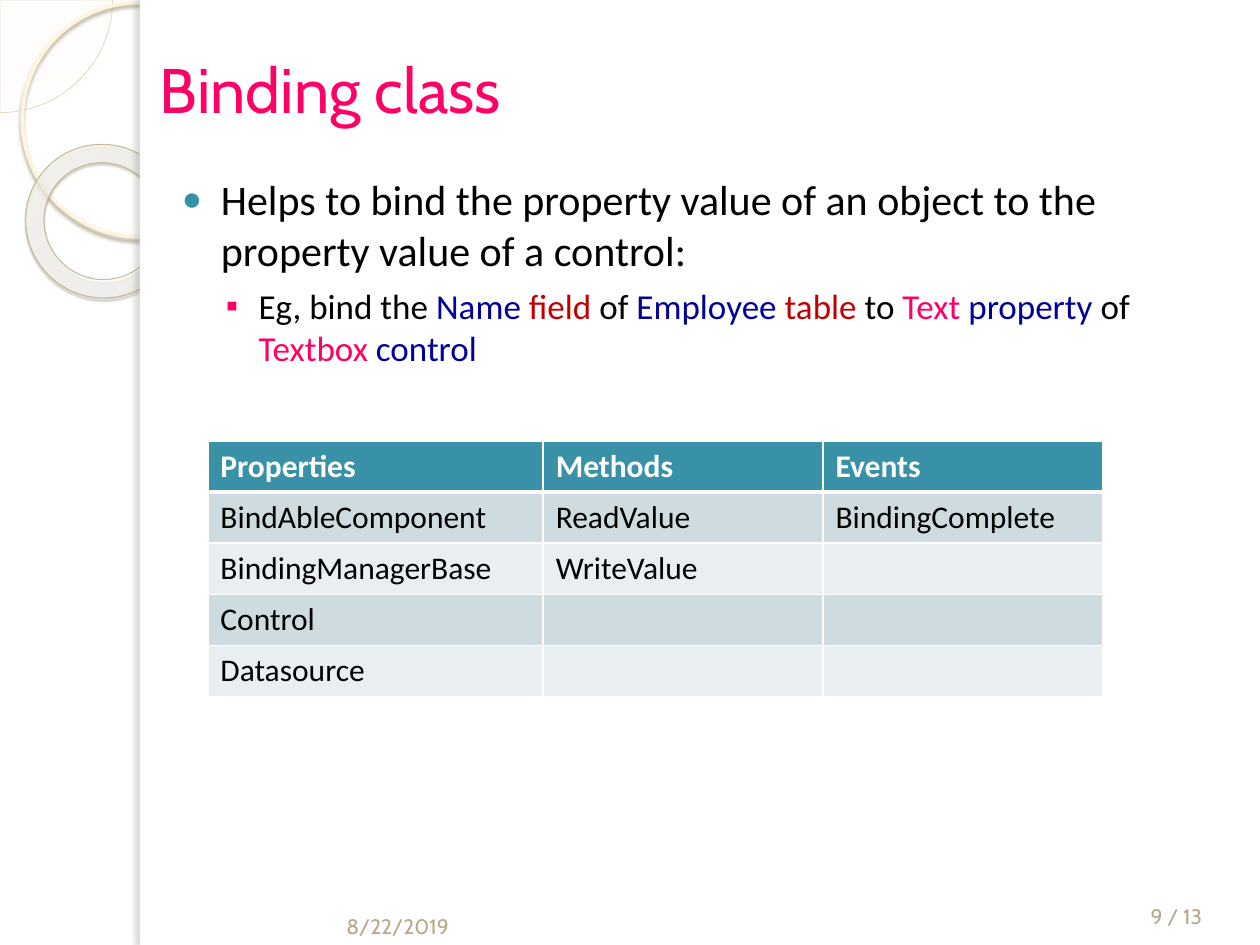
from lxml.etree import SubElement
from pptx import Presentation
from pptx.dml.color import RGBColor
from pptx.enum.shapes import MSO_SHAPE
from pptx.enum.text import MSO_ANCHOR, MSO_AUTO_SIZE, PP_ALIGN
from pptx.oxml import parse_xml
from pptx.oxml.ns import nsdecls, qn
from pptx.util import Cm, Pt

COLORS = {
    "white": "FFFFFF", "black": "000000", "pink": "FF0066", "navy": "000099",
    "red": "C00000", "teal": "3891A7", "footer": "B6A98A",
    "band": "CEDCE1", "pale": "E8EEF1",
    "pie": "FEFAF4", "pie_line": "D3C39F",
    "ring": "FFF5DE", "ring_shadow": "B0A68F",
    "donut_line": "C7B893", "donut_shadow": "5A5444", "strip_shadow": "736F63",
    "donut_inner": "FFFCF6", "donut_mid": "FFFEFB", "donut_outer": "F0D28E",
}

# Content
TITLE = "Binding class"
BULLETS = [
    {"runs": [("Helps to bind the property value of an object to the "
               "property value of a control:", "black")],
     "level": 0, "size": 24, "before": 6, "margin": 1.02, "hang": 0.79,
     "bullet": "●", "bullet_color": "teal", "bullet_size": 80},
    {"runs": [("Eg, bind the ", "black"), ("Name ", "navy"), ("field", "red"),
              (" of ", "black"), ("Employee ", "navy"), ("table ", "red"),
              ("to ", "black"), ("Text ", "pink"), ("property ", "navy"),
              ("of ", "black"), ("Textbox ", "pink"), ("control", "navy")],
     "level": 1, "size": 20, "before": 5.5, "margin": 1.78, "hang": 0.66,
     "bullet": "▪", "bullet_color": "pink", "bullet_size": 100},
]
MEMBERS = [
    ("Properties", "Methods", "Events"),
    ("BindAbleComponent", "ReadValue", "BindingComplete"),
    ("BindingManagerBase", "WriteValue", ""),
    ("Control", "", ""),
    ("Datasource", "", ""),
]
COLUMN_WIDTHS = (6.76, 5.64, 5.64)
ROW_HEIGHT = 1.03
FOOTERS = [
    ("8/22/2019", (3.38, 17.73, 5.92, 1.32), PP_ALIGN.RIGHT),
    ("9 / 13", (22.23, 17.53, 2.97, 1.32), PP_ALIGN.CENTER),
]

# Side decoration, back to front; shadow is colour, alpha, blur, distance, angle
DECORATION = [
    {"kind": MSO_SHAPE.PIE, "box": (-2.27, -2.27, 4.54, 4.54), "adjust": (0, 54),
     "fill": "pie", "alpha": 33, "line": ("pie_line", 0.25)},
    {"kind": MSO_SHAPE.OVAL, "box": (0.45, 0.05, 4.72, 4.72),
     "line": ("ring", 2.15), "shadow": ("ring_shadow", 85, 2, 2, 90)},
    {"kind": MSO_SHAPE.DONUT, "box": (0.51, 2.92, 3.12, 3.08), "adjust": (0.12,),
     "rotation": 38.6, "line": ("donut_line", 0.58),
     "gradient": [(0, "donut_inner", 70), (70, "donut_mid", 55), (100, "donut_outer", 60)],
     "shadow": ("donut_shadow", 35, 1, 1.2, 75)},
    {"kind": MSO_SHAPE.RECTANGLE, "box": (2.82, 0, 22.58, 19.05), "fill": "white"},
    {"kind": MSO_SHAPE.RECTANGLE, "box": (2.82, 0, 0.2, 19.05), "fill": "white",
     "shadow": ("strip_shadow", 25, 3, 3, 180)},
]


def rgb(name):
    return RGBColor.from_string(COLORS[name])


def add_color(parent, name, alpha=100):
    color = SubElement(parent, qn("a:srgbClr"), val=COLORS[name])
    if alpha < 100:
        SubElement(color, qn("a:alpha"), val=str(alpha * 1000))


def add_run(paragraph, text, **formats):
    run = paragraph.add_run()
    run.text = text
    run.font.color.rgb = rgb(formats.pop("color"))
    for key, value in formats.items():
        setattr(run.font, key, value)


def place(shape, box):
    for key, value in zip(("left", "top", "width", "height"), box):
        setattr(shape, key, Cm(value))


def add_decoration(slide, part):
    shape = slide.shapes.add_shape(part["kind"], *map(Cm, part["box"]))
    shape.shadow.inherit = False
    shape.rotation = part.get("rotation", 0)
    for index, value in enumerate(part.get("adjust", ())):
        shape.adjustments[index] = value
    properties = shape._element.spPr
    if "fill" in part:
        shape.fill.solid()
        shape.fill.fore_color.rgb = rgb(part["fill"])
        if "alpha" in part:
            color = properties.find(qn("a:solidFill")).find(qn("a:srgbClr"))
            SubElement(color, qn("a:alpha"), val=str(part["alpha"] * 1000))
    else:
        shape.fill.background()
    if "gradient" in part:
        gradient = parse_xml(f'<a:gradFill {nsdecls("a")} rotWithShape="1"><a:gsLst/></a:gradFill>')
        for position, name, alpha in part["gradient"]:
            stop = SubElement(gradient[0], qn("a:gs"), pos=str(position * 1000))
            add_color(stop, name, alpha)
        center = SubElement(gradient, qn("a:path"), path="circle")
        SubElement(center, qn("a:fillToRect"), l="-408000", t="-50000", r="508000", b="150000")
        properties.replace(properties.find(qn("a:noFill")), gradient)
    if "line" in part:
        name, width = part["line"]
        shape.line.color.rgb = rgb(name)
        shape.line.width = Pt(width)
    else:
        shape.line.fill.background()
    if "shadow" in part:
        name, alpha, blur, distance, angle = part["shadow"]
        shadow = SubElement(properties.find(qn("a:effectLst")), qn("a:outerShdw"),
                            blurRad=str(Pt(blur)), dist=str(Pt(distance)),
                            dir=str(angle * 60000), algn="tl", rotWithShape="0")
        add_color(shadow, name, alpha)


def add_bullet(paragraph, item):
    paragraph.level = item["level"]
    paragraph.space_before = Pt(item["before"])
    properties = paragraph._p.get_or_add_pPr()
    properties.set("marL", str(Cm(item["margin"])))
    properties.set("indent", str(-Cm(item["hang"])))
    add_color(SubElement(properties, qn("a:buClr")), item["bullet_color"])
    SubElement(properties, qn("a:buSzPct"), val=str(item["bullet_size"] * 1000))
    SubElement(properties, qn("a:buFont"), typeface="Arial")
    SubElement(properties, qn("a:buChar"), char=item["bullet"])
    for text, color in item["runs"]:
        add_run(paragraph, text, name="Calibri", size=Pt(item["size"]), color=color)


def set_borders(cell, widths):
    properties = cell._tc.get_or_add_tcPr()
    for index, (side, width) in enumerate(widths.items()):
        border = parse_xml(f'<a:ln{side} {nsdecls("a")} w="{Pt(width)}"><a:solidFill/></a:ln{side}>')
        add_color(border[0], "white")
        properties.insert(index, border)


def add_member_table(slide):
    table = slide.shapes.add_table(
        len(MEMBERS), len(COLUMN_WIDTHS), Cm(4.19), Cm(8.89),
        Cm(sum(COLUMN_WIDTHS)), Cm(ROW_HEIGHT * len(MEMBERS))).table
    for column, width in zip(table.columns, COLUMN_WIDTHS):
        column.width = Cm(width)
    for r, texts in enumerate(MEMBERS):
        table.rows[r].height = Cm(ROW_HEIGHT)
        header = r == 0
        for c, text in enumerate(texts):
            cell = table.cell(r, c)
            cell.fill.solid()
            cell.fill.fore_color.rgb = rgb("teal" if header else "band" if r % 2 else "pale")
            set_borders(cell, {"L": 1, "R": 1, "T": 3 if r == 1 else 1, "B": 3 if header else 1})
            if text:
                add_run(cell.text_frame.paragraphs[0], text, name="Calibri", size=Pt(18),
                        bold=header, color="white" if header else "black")


def main():
    deck = Presentation()
    deck.slide_width, deck.slide_height = Cm(25.4), Cm(19.05)
    slide = deck.slides.add_slide(deck.slide_layouts[1])
    title, body = slide.placeholders

    for part in DECORATION:
        add_decoration(slide, part)

    # Title and list go in front of the decoration
    for holder, box in ((title, (2.97, 0.2, 20.83, 3.18)), (body, (3.18, 3.38, 21.64, 13.97))):
        slide.shapes._spTree.append(holder._element)
        place(holder, box)
        holder.text_frame.auto_size = MSO_AUTO_SIZE.NONE
    title.text_frame.vertical_anchor = MSO_ANCHOR.MIDDLE
    heading = title.text_frame.paragraphs[0]
    heading.alignment = PP_ALIGN.LEFT
    add_run(heading, TITLE, name="Cabin", size=Pt(36), color="pink")
    for index, item in enumerate(BULLETS):
        frame = body.text_frame
        add_bullet(frame.add_paragraph() if index else frame.paragraphs[0], item)

    add_member_table(slide)

    # Date and page number
    for text, box, alignment in FOOTERS:
        footer = slide.shapes.add_textbox(*map(Cm, box)).text_frame
        footer.word_wrap = True
        footer.vertical_anchor = MSO_ANCHOR.BOTTOM
        footer.paragraphs[0].alignment = alignment
        add_run(footer.paragraphs[0], text, name="Cabin", size=Pt(12), color="footer")

    deck.save("out.pptx")


if __name__ == "__main__":
    main()
